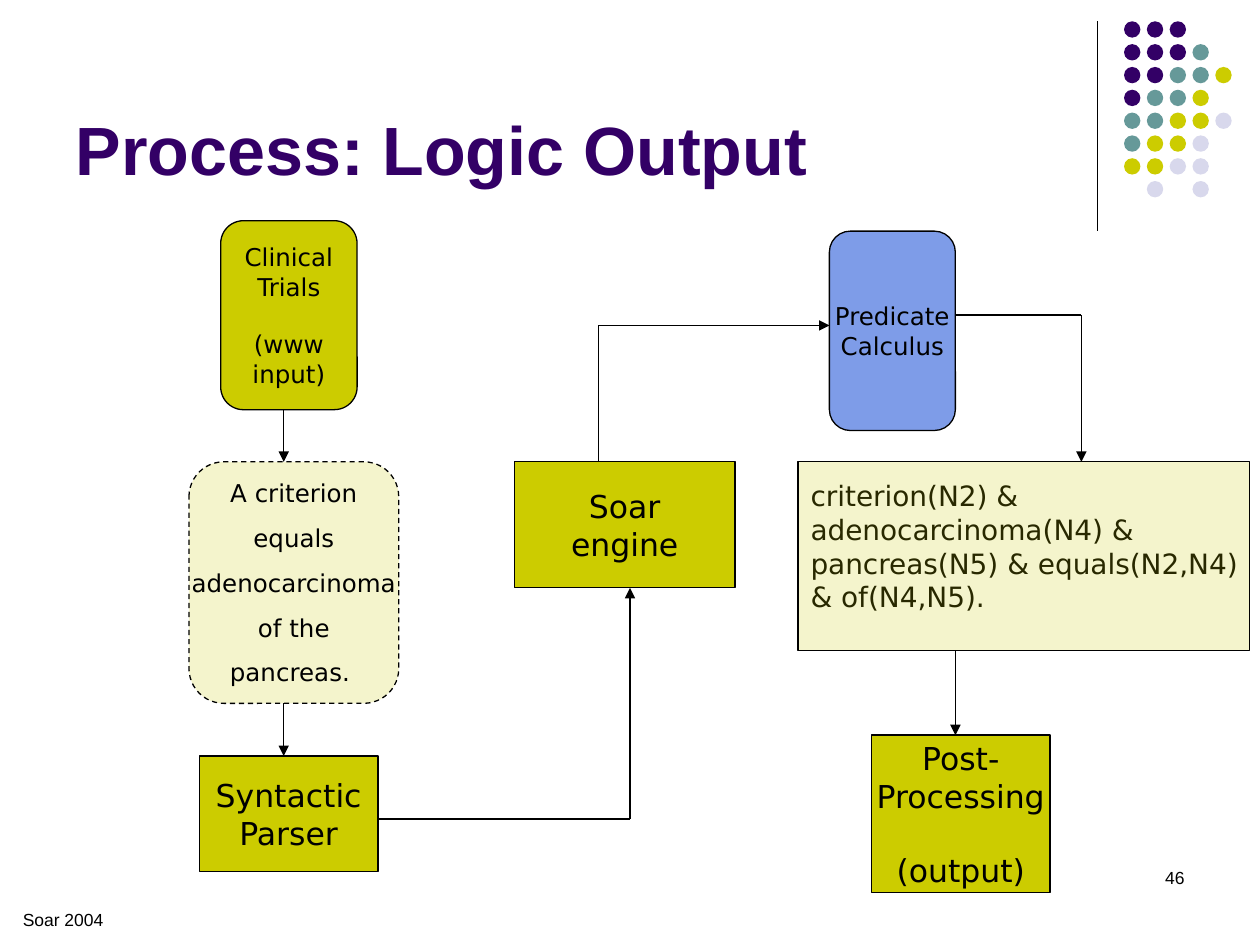
from lxml.etree import SubElement
from pptx import Presentation
from pptx.dml.color import RGBColor
from pptx.enum.dml import MSO_LINE
from pptx.enum.shapes import MSO_CONNECTOR, MSO_SHAPE
from pptx.enum.text import MSO_ANCHOR, MSO_AUTO_SIZE, PP_ALIGN
from pptx.oxml.ns import qn
from pptx.util import Cm, Pt

BLACK = RGBColor(0x00, 0x00, 0x00)
PURPLE = RGBColor(0x33, 0x00, 0x66)
TEAL = RGBColor(0x66, 0x99, 0x99)
OLIVE = RGBColor(0xCC, 0xCC, 0x00)
LAVENDER = RGBColor(0xD8, 0xD8, 0xEC)
BLUE = RGBColor(0x7E, 0x9C, 0xE8)

BODY_FONT = "DejaVu Sans"
DOT_COLORS = {"P": PURPLE, "T": TEAL, "O": OLIVE, "L": LAVENDER}
DOT_ROWS = ["PPP", "PPPT", "PPTTO", "PTTO", "TTOOL", "TOOL", "OOLL", " L L"]


def set_font(p, name, size, color=BLACK, bold=False):
    """Format a whole paragraph."""
    p.font.name = name
    p.font.size = Pt(size)
    p.font.bold = bold
    p.font.color.rgb = color


def add_title(s, text):
    """Place and format the title placeholder."""
    sp = s.shapes.title
    sp.left, sp.top, sp.width, sp.height = Cm(1.27), Cm(0.33), Cm(20.96), Cm(3.61)
    tf = sp.text_frame
    tf.text = text
    tf.auto_size = MSO_AUTO_SIZE.NONE
    tf.vertical_anchor = MSO_ANCHOR.BOTTOM
    p = tf.paragraphs[0]
    p.alignment = PP_ALIGN.LEFT
    set_font(p, "Arial", 39, PURPLE, True)


def add_dots(s):
    """Draw the dot grid in the corner."""
    group = s.shapes.add_group_shape()
    size, pitch = 0.33, 0.46
    for row, codes in enumerate(DOT_ROWS):
        for col, code in enumerate(codes):
            if code == " ":
                continue
            sp = group.shapes.add_shape(
                MSO_SHAPE.OVAL, Cm(22.66 + col * pitch), Cm(0.43 + row * pitch),
                Cm(size), Cm(size))
            sp.shadow.inherit = False
            sp.fill.solid()
            sp.fill.fore_color.rgb = DOT_COLORS[code]
            sp.line.fill.background()


def add_text(s, at, text, font, size, align=PP_ALIGN.LEFT):
    """Add a wrapped text box with one paragraph."""
    tf = s.shapes.add_textbox(*map(Cm, at)).text_frame
    tf.word_wrap = True
    p = tf.paragraphs[0]
    p.text = text
    p.alignment = align
    set_font(p, font, size)


def add_box(s, shape, at, color, size=18, groups=(), gap=0, alpha=None, dash=False):
    """Add an outlined box whose groups of lines are set apart by a gap."""
    sp = s.shapes.add_shape(shape, *map(Cm, at))
    sp.shadow.inherit = False
    sp.fill.solid()
    sp.fill.fore_color.rgb = color
    if alpha:
        clr = sp.fill._xPr.find(qn("a:solidFill"))[0]
        SubElement(clr, qn("a:alpha"), val=str(alpha * 1000))
    sp.line.color.rgb = BLACK
    sp.line.width = Pt(0.75)
    if dash:
        sp.line.dash_style = MSO_LINE.DASH
    tf = sp.text_frame
    tf.word_wrap = False
    tf.vertical_anchor = MSO_ANCHOR.MIDDLE
    lines = [(line, g > 0 and i == 0)
             for g, group in enumerate(groups) for i, line in enumerate(group)]
    for n, (line, spaced) in enumerate(lines):
        p = tf.add_paragraph() if n else tf.paragraphs[0]
        p.text = line
        p.alignment = PP_ALIGN.CENTER
        if spaced:
            p.space_before = Pt(gap)
        set_font(p, BODY_FONT, size)


def add_route(s, *points, arrow=True):
    """Join points with straight lines, the last one with an arrowhead."""
    for start, end in zip(points, points[1:]):
        c = s.shapes.add_connector(MSO_CONNECTOR.STRAIGHT, *map(Cm, start + end))
        c.line.color.rgb = BLACK
        c.line.width = Pt(0.75)
        if arrow and end == points[-1]:
            SubElement(c.line._get_or_add_ln(), qn("a:tailEnd"), type="triangle")
        SubElement(c._element.spPr, qn("a:effectLst"))


def main():
    """Build the slide."""
    prs = Presentation()
    prs.slide_width, prs.slide_height = Cm(25.4), Cm(19.05)
    s = prs.slides.add_slide(prs.slide_layouts[5])
    rect, rounded = MSO_SHAPE.RECTANGLE, MSO_SHAPE.ROUNDED_RECTANGLE

    add_route(s, (22.12, 0.43), (22.12, 4.66), arrow=False)
    add_dots(s)
    add_title(s, "Process: Logic Output")

    add_box(s, rounded, (4.45, 4.45, 2.75, 3.81), OLIVE, 14,
            [["Clinical", "Trials"], ["(www", "input)"]], gap=16.3)
    add_box(s, rounded, (3.81, 9.31, 4.23, 4.87), OLIVE, 14,
            [["A criterion"], ["equals"], ["adenocarcinoma"], ["of the"], ["pancreas. "]],
            gap=8.8, alpha=20, dash=True)
    add_box(s, rect, (4.02, 15.24, 3.6, 2.33), OLIVE, groups=[["Syntactic", "Parser"]])
    add_box(s, rect, (10.37, 9.31, 4.45, 2.54), OLIVE, groups=[["Soar", "engine"]])
    add_box(s, rounded, (16.72, 4.66, 2.54, 4.02), BLUE, 14, [["Predicate", "Calculus"]])
    add_text(s, (16.09, 9.53, 9.31, 2.96),
             "criterion(N2) & adenocarcinoma(N4) & pancreas(N5) & equals(N2,N4) & of(N4,N5).",
             BODY_FONT, 16)
    add_box(s, rect, (16.09, 9.31, 9.1, 3.81), OLIVE, alpha=20)
    add_box(s, rect, (17.57, 14.82, 3.6, 3.18), OLIVE,
            groups=[["Post-", "Processing"], ["(output)"]], gap=21)

    add_route(s, (5.72, 8.26), (5.72, 9.31))
    add_route(s, (5.72, 14.18), (5.72, 15.24))
    add_route(s, (7.62, 16.51), (12.7, 16.51), (12.7, 11.85))
    add_route(s, (12.07, 9.31), (12.07, 6.56), (16.72, 6.56))
    add_route(s, (19.26, 6.35), (21.8, 6.35), (21.8, 9.31))
    add_route(s, (19.26, 13.12), (19.26, 14.82))

    add_text(s, (18.2, 17.36, 5.93, 1.27), "46", "Arial", 10, PP_ALIGN.RIGHT)
    add_text(s, (0.21, 18.2, 4.02, 0.64), "Soar 2004", "Arial", 10)
    prs.save("out.pptx")


if __name__ == "__main__":
    main()
